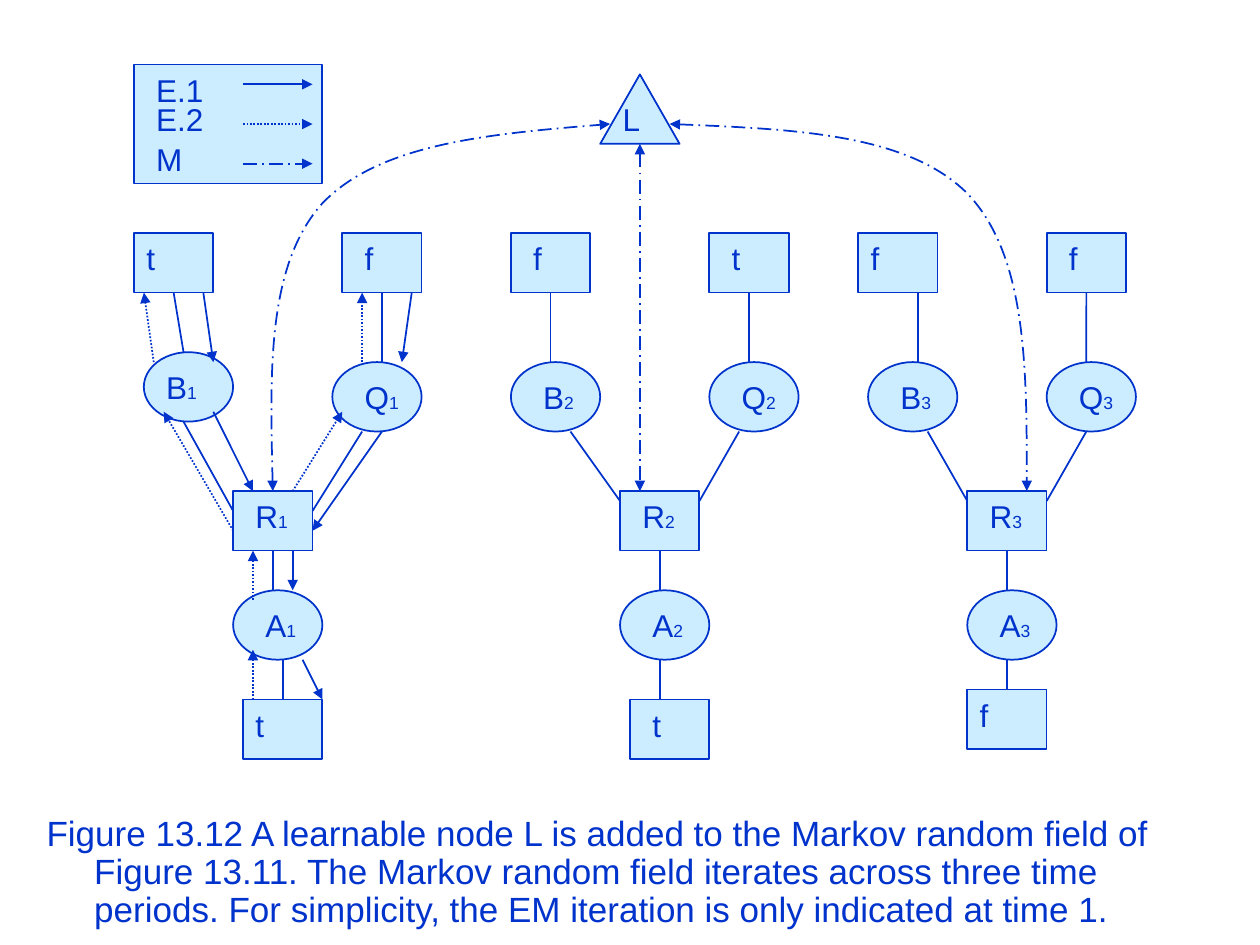
"""Draw the three-period Markov random field with a learnable node L."""
import dataclasses

import lxml.etree
import pptx
import pptx.dml.color
import pptx.enum.dml
import pptx.enum.shapes
import pptx.enum.text
import pptx.oxml.ns
import pptx.util

Cm = pptx.util.Cm
qn = pptx.oxml.ns.qn
PRESETS = pptx.enum.shapes.MSO_SHAPE
DASHES = pptx.enum.dml.MSO_LINE


@dataclasses.dataclass(frozen=True)
class Theme:
    ink: pptx.dml.color.RGBColor = pptx.dml.color.RGBColor(0x00, 0x33, 0xCC)
    pale: pptx.dml.color.RGBColor = pptx.dml.color.RGBColor(0xCC, 0xEC, 0xFF)
    font: str = "Arial"
    caption: int = 20
    label: int = 18
    subscript: int = 10
    stroke: int = 1


class Diagram:
    def __init__(self, slide, theme):
        self.slide = slide
        self.theme = theme
        self.docks = {}

    def outline(self, item, dash=None, head=False, tail=False):
        item.line.color.rgb = self.theme.ink
        item.line.width = pptx.util.Pt(self.theme.stroke)
        if dash:
            item.line.dash_style = dash
        ln = item._element.spPr.find(qn("a:ln"))
        for end, wanted in (("a:headEnd", head), ("a:tailEnd", tail)):
            if wanted:
                lxml.etree.SubElement(ln, qn(end), type="triangle")

    def shape(self, preset, x, y, width, height):
        shape = self.slide.shapes.add_shape(preset, Cm(x), Cm(y), Cm(width), Cm(height))
        shape.shadow.inherit = False
        shape.fill.solid()
        shape.fill.fore_color.rgb = self.theme.pale
        self.outline(shape)
        return shape

    def text(self, x, y, width, height, words, size, subscript=""):
        frame = self.slide.shapes.add_textbox(Cm(x), Cm(y), Cm(width), Cm(height)).text_frame
        frame.word_wrap = True
        paragraph = frame.paragraphs[0]
        paragraph.add_run().text = words
        if subscript:
            index = paragraph.add_run()
            index.text = subscript
            index.font.size = pptx.util.Pt(self.theme.subscript)
            paragraph.runs[0].font.size = pptx.util.Pt(size)
        else:
            paragraph.font.size = pptx.util.Pt(size)
        paragraph.font.name = self.theme.font
        paragraph.font.color.rgb = self.theme.ink
        return frame

    def label(self, x, y, name):
        frame = self.text(x, y, 2.2, 1.02, name[0], self.theme.label, name[1:] if name[1:].isdigit() else "")
        frame.auto_size = pptx.enum.text.MSO_AUTO_SIZE.SHAPE_TO_FIT_TEXT

    def box(self, name, x, y, shift=0.2):
        width, height = 1.6, 1.2
        shape = self.shape(PRESETS.RECTANGLE, x, y, width, height)
        middles = ((x + width / 2, y), (x, y + height / 2),
                   (x + width / 2, y + height), (x + width, y + height / 2))
        for side, (across, down) in enumerate(middles):
            self.docks[round(across, 2), round(down, 2)] = shape, side
        self.label(x + shift, y, name)

    def oval(self, name, x, y, shift=0.4):
        self.shape(PRESETS.OVAL, x, y, 1.8, 1.4)
        self.label(x + shift, y + 0.2, name)

    def link(self, start, end, dash=None, head=False, tail=False):
        connector = self.slide.shapes.add_connector(
            pptx.enum.shapes.MSO_CONNECTOR.STRAIGHT, *map(Cm, start + end))
        if start in self.docks:
            connector.begin_connect(*self.docks[start])
        if end in self.docks:
            connector.end_connect(*self.docks[end])
        self.outline(connector, dash, head, tail)
        lxml.etree.SubElement(connector._element.spPr, qn("a:effectLst"))

    def curve(self, start, *points):
        builder = self.slide.shapes.build_freeform(Cm(start[0]), Cm(start[1]))
        builder.add_line_segments([(Cm(x), Cm(y)) for x, y in points], close=False)
        arc = builder.convert_to_shape()
        arc.shadow.inherit = False
        arc.fill.background()
        self.outline(arc, DASHES.LONG_DASH_DOT, head=True, tail=True)
        segments = list(arc._element.iter(qn("a:lnTo")))
        outline_path = segments[0].getparent()
        for first in range(0, len(segments), 3):
            bezier = lxml.etree.SubElement(outline_path, qn("a:cubicBezTo"))
            for segment in segments[first:first + 3]:
                bezier.append(segment[0])
                outline_path.remove(segment)

    def caption(self, words):
        frame = self.text(0.69, 16.33, 23.72, 2.72, words, self.theme.caption)
        paragraph = frame.paragraphs[0]
        paragraph.line_spacing = 0.9
        properties = paragraph._p.get_or_add_pPr()
        properties.set("marL", str(Cm(0.96)))
        properties.set("indent", str(-Cm(0.96)))


def main():
    deck = pptx.Presentation()
    deck.slide_width, deck.slide_height = Cm(25.4), Cm(19.05)
    field = Diagram(deck.slides.add_slide(deck.slide_layouts[6]), Theme())

    field.caption("Figure 13.12 A learnable node L is added to the Markov random field of "
                  "Figure 13.11. The Markov random field iterates across three time periods. "
                  "For simplicity, the EM iteration is only indicated at time 1.")

    field.shape(PRESETS.RECTANGLE, 2.7, 1.3, 3.8, 2.4)
    steps = (("E.1", 1.3, 1.7, None), ("E.2", 1.9, 2.5, DASHES.ROUND_DOT),
             ("M", 2.7, 3.3, DASHES.LONG_DASH_DOT))
    for step, top, level, dash in steps:
        field.text(2.9, top, 2.2, 1.02, step, field.theme.label)
        field.link((4.9, level), (6.3, level), dash, tail=True)

    field.shape(PRESETS.ISOSCELES_TRIANGLE, 12.1, 1.5, 1.6, 1.4)
    field.label(12.3, 1.9, "L")

    for value, x, shift in (("t", 2.7, 0), ("f", 6.9, 0.2), ("f", 10.3, 0.2),
                            ("t", 14.3, 0.2), ("f", 17.3, 0), ("f", 21.1, 0.2)):
        field.box(value, x, 4.7, shift)
    field.oval("B1", 2.9, 7.1, 0.2)
    for name, x in (("Q1", 6.7), ("B2", 10.3), ("Q2", 14.3), ("B3", 17.5), ("Q3", 21.1)):
        field.oval(name, x, 7.3)
    for period, x in enumerate((4.7, 12.5, 19.5), 1):
        field.box(f"R{period}", x, 9.9)
        field.oval(f"A{period}", x, 11.9)
    for value, x, y, shift in (("t", 4.9, 14.1, 0), ("t", 12.7, 14.1, 0.2), ("f", 19.5, 13.9, 0)):
        field.box(value, x, y, shift)

    edges = [((x, 5.9), (x, 7.3)) for x in (7.7, 11.1, 15.1, 18.5, 21.9)]
    edges += [((x, 11.1), (x, 11.9)) for x in (5.5, 13.3, 20.3)]
    edges += [((5.7, 13.3), (5.7, 14.1)), ((13.3, 13.3), (13.3, 14.1)),
              ((20.3, 13.3), (20.3, 13.9)), ((3.5, 5.9), (3.7, 7.1)),
              ((3.7, 8.5), (4.7, 10.3)), ((6.3, 10.3), (7.3, 8.7)),
              ((11.5, 8.7), (12.5, 10.1)), ((14.1, 10.1), (14.9, 8.7)),
              ((18.7, 8.7), (19.5, 10.1)), ((21.1, 10.1), (21.9, 8.7))]
    for start, end in edges:
        field.link(start, end)

    for start, end in (((4.1, 5.9), (4.3, 7.3)), ((8.3, 5.9), (8.1, 7.3)),
                       ((4.3, 8.3), (5.1, 9.9)), ((7.7, 8.7), (6.3, 10.7)),
                       ((5.9, 11.1), (5.9, 11.9)), ((6.1, 13.3), (6.5, 14.1))):
        field.link(start, end, tail=True)

    for start, end in (((3.1, 7.3), (2.9, 5.9)), ((7.3, 7.3), (7.3, 5.9)),
                       ((4.7, 10.7), (3.3, 8.3)), ((5.9, 9.9), (6.9, 8.3)),
                       ((5.1, 12.1), (5.1, 11.1)), ((5.1, 14.1), (5.1, 13.1))):
        field.link(start, end, DASHES.ROUND_DOT, tail=True)

    field.curve((5.5, 9.9), (5.45, 7.65), (5.37, 5.36), (6.5, 4.1),
                (7.65, 2.9), (9.96, 2.69), (12.3, 2.5))
    field.curve((13.5, 2.5), (15.9, 2.6), (18.3, 2.7), (19.5, 3.9),
                (20.7, 5.15), (20.7, 7.55), (20.7, 9.9))
    field.link((12.9, 2.9), (12.9, 9.9), DASHES.LONG_DASH_DOT, head=True, tail=True)

    deck.save("out.pptx")


if __name__ == "__main__":
    main()
